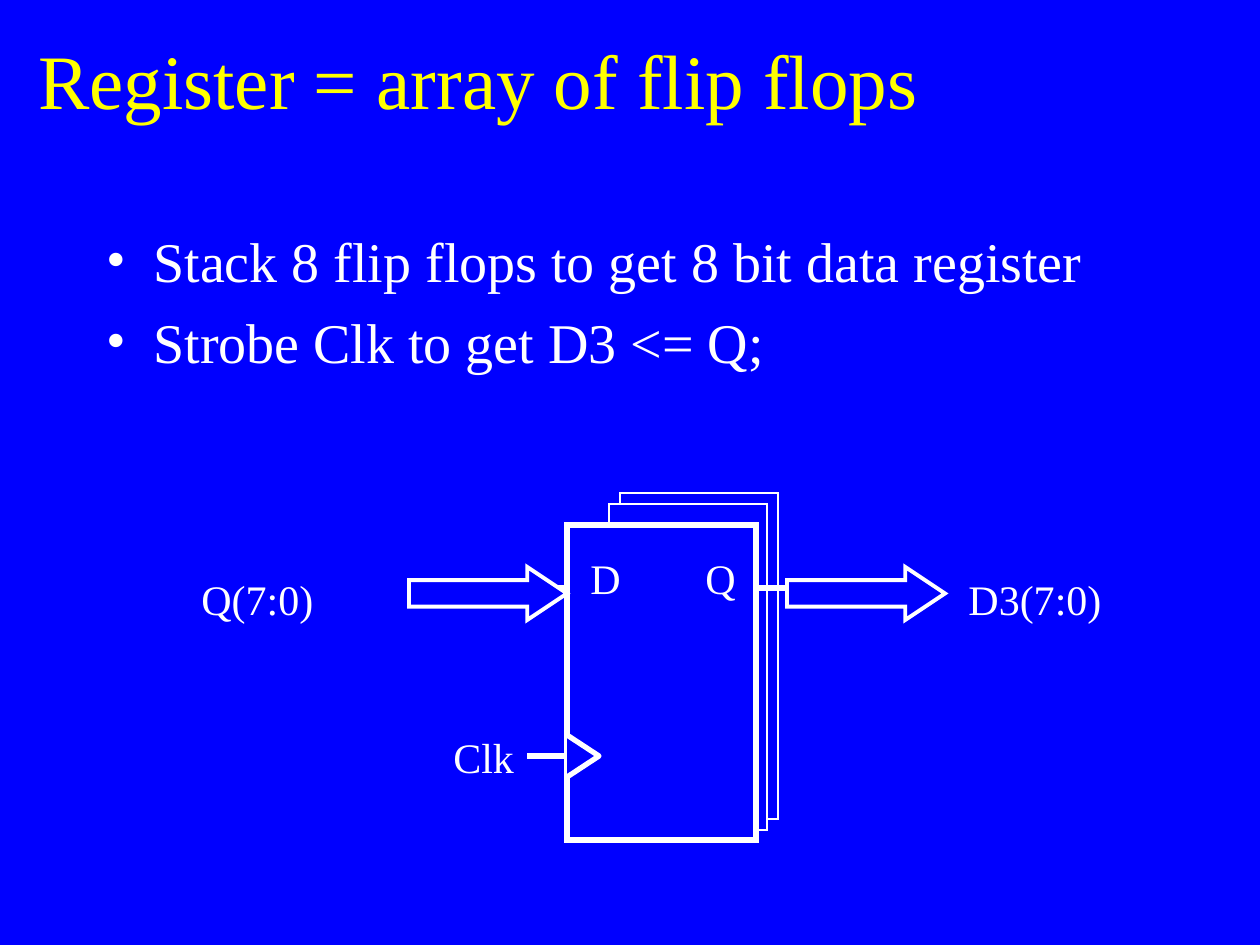
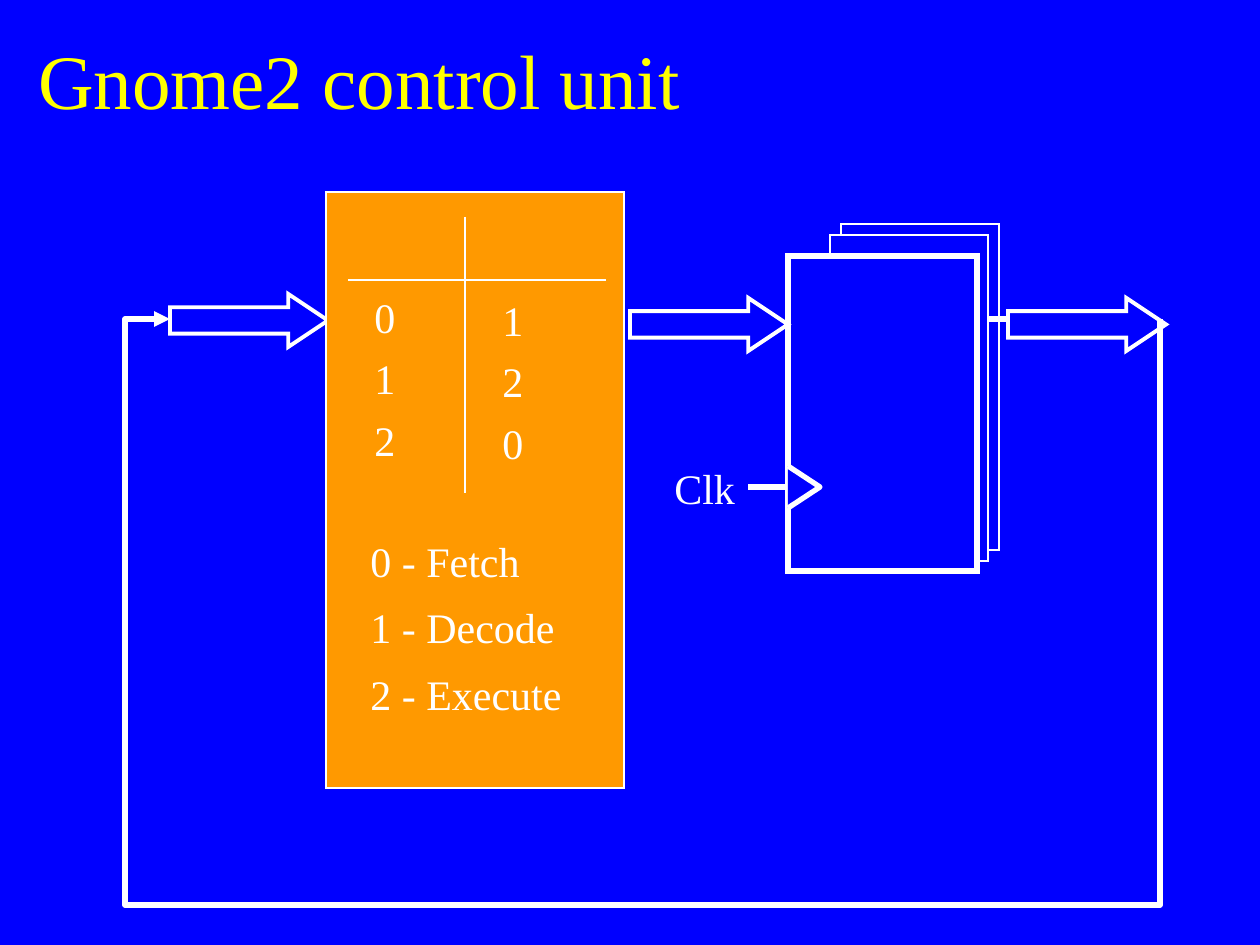
from lxml import etree
from pptx import Presentation
from pptx.dml.color import RGBColor
from pptx.enum.shapes import MSO_CONNECTOR, MSO_SHAPE
from pptx.enum.text import MSO_ANCHOR, MSO_AUTO_SIZE, PP_ALIGN
from pptx.oxml.ns import qn
from pptx.util import Emu, Pt

STRAIGHT = MSO_CONNECTOR.STRAIGHT
RECTANGLE = MSO_SHAPE.RECTANGLE
RIGHT_ARROW = MSO_SHAPE.RIGHT_ARROW
MIDDLE = MSO_ANCHOR.MIDDLE
TOP = MSO_ANCHOR.TOP
FIT_SHAPE = MSO_AUTO_SIZE.SHAPE_TO_FIT_TEXT
LEFT = PP_ALIGN.LEFT

EMU_PER_PX = 914400 / 126
FONT = "Times New Roman"
BLUE = "0000FF"
WHITE = "FFFFFF"
YELLOW = "FFFF00"
ORANGE = "FF9900"
THIN, MEDIUM, THICK = 0.75, 2.25, 3

REGISTER_WIDTH, REGISTER_HEIGHT = 189, 315
PIN_Y = 63
CLOCK_Y = 231
STUB = 42


def px(length):
    return Emu(round(length * EMU_PER_PX))


def color(hex_string):
    return RGBColor.from_string(hex_string)


def paint(shape, fill, width):
    """Give a shape its fill and white outline, without a shadow."""
    shape.shadow.inherit = False
    if fill:
        shape.fill.solid()
        shape.fill.fore_color.rgb = color(fill)
    else:
        shape.fill.background()
    shape.line.color.rgb = color(WHITE)
    shape.line.width = Pt(width)


def add_preset(slide, kind, left, top, width, height, fill, line_width):
    shape = slide.shapes.add_shape(kind, px(left), px(top), px(width), px(height))
    paint(shape, fill, line_width)
    etree.SubElement(shape.line._get_or_add_ln(), qn("a:miter"), lim="800000")
    return shape


def add_line(slide, start, end, width):
    line = slide.shapes.add_connector(STRAIGHT, *map(px, start + end))
    line.line.color.rgb = color(WHITE)
    line.line.width = Pt(width)
    etree.SubElement(line._element.spPr, qn("a:effectLst"))
    return line


def add_outline(slide, points, fill=None):
    """Draw an open path through the points."""
    builder = slide.shapes.build_freeform(*points[0], scale=EMU_PER_PX)
    builder.add_line_segments(points[1:], close=False)
    outline = builder.convert_to_shape()
    paint(outline, fill, THICK)
    return outline


def add_text(slide, lines, left, top, width, height, size=24, ink=WHITE,
             anchor=TOP, wrap=True, line_spacing=1.0, gap=0, bullet=False):
    box = slide.shapes.add_textbox(px(left), px(top), px(width), px(height))
    frame = box.text_frame
    frame.word_wrap = wrap
    frame.vertical_anchor = anchor
    frame.text = "\n".join(lines)
    for index, paragraph in enumerate(frame.paragraphs):
        if bullet:
            add_bullet(paragraph)
        paragraph.alignment = LEFT
        paragraph.line_spacing = line_spacing
        if index:
            paragraph.space_before = Pt(gap)
        for run in paragraph.runs:
            run.font.name = FONT
            run.font.size = Pt(size)
            run.font.color.rgb = color(ink)
    return box


def add_bullet(paragraph):
    properties = paragraph._p.get_or_add_pPr()
    indent = px(47)
    properties.set("marL", str(indent))
    properties.set("indent", str(-indent))
    etree.SubElement(properties, qn("a:buFont"), typeface=FONT)
    etree.SubElement(properties, qn("a:buChar"), char="•")


def add_label(slide, text, left, top, width):
    label = add_text(slide, [text], left, top, width, 62, wrap=False)
    label.text_frame.auto_size = FIT_SHAPE
    label.fill.solid()
    label.fill.fore_color.rgb = color(BLUE)
    return label


def add_bus_arrow(slide, left, top):
    arrow = add_preset(slide, RIGHT_ARROW, left, top, 158, 53, BLUE, MEDIUM)
    arrow.adjustments[0] = 0.5
    arrow.adjustments[1] = 0.75


def add_register(slide, left, top):
    """Stack of flip flops with its clock input."""
    for shift_x, shift_y, fill in ((53, -32, None), (42, -21, BLUE)):
        add_preset(slide, RECTANGLE, left + shift_x, top + shift_y, 158, 326, fill, THIN)
    add_preset(slide, RECTANGLE, left, top, REGISTER_WIDTH, REGISTER_HEIGHT, BLUE, THICK)

    clock_y = top + CLOCK_Y
    clock = add_label(slide, "Clk", left - 126, clock_y - 31, 86)
    clock_line = add_line(slide, (left, clock_y), (left - STUB, clock_y), THICK)
    clock_line.end_connect(clock, 3)
    add_outline(slide, [(left, clock_y - 21), (left + 32, clock_y), (left, clock_y + 21)], BLUE)


def add_pin(slide, left, y):
    add_line(slide, (left + STUB, y), (left, y), THICK)


def add_register_buses(slide, left, top):
    for shift in (220, -158):
        add_bus_arrow(slide, left + shift, top + 42)


def add_titled_slide(deck, title, title_width):
    slide = deck.slides.add_slide(deck.slide_layouts[6])
    slide.background.fill.solid()
    slide.background.fill.fore_color.rgb = color(BLUE)
    add_text(slide, [title], 26, 0, title_width, 158, 44, YELLOW, MIDDLE)
    return slide


def build_register_slide(deck):
    slide = add_titled_slide(deck, "Register = array of flip flops", 1071)
    add_text(slide, ["Stack 8 flip flops to get 8 bit data register",
                     "Strobe Clk to get D3 <= Q;"],
             94, 220, 1050, 210, size=32, gap=8, bullet=True)
    left, top = 567, 525
    add_register(slide, left, top)
    for pin_left in (left - STUB, left + REGISTER_WIDTH):
        add_pin(slide, pin_left, top + PIN_Y)
    for text, label_left, label_top, width in (
            ("D", 578, 546, 55), ("Q", 693, 546, 55),
            ("Q(7:0)", 189, 567, 137), ("D3(7:0)", 956, 567, 158)):
        add_label(slide, text, label_left, label_top, width)
    add_register_buses(slide, left, top)


def build_control_slide(deck):
    slide = add_titled_slide(deck, "Gnome2 control unit", 1234)
    left, top = 788, 256
    add_pin(slide, left + REGISTER_WIDTH, top + PIN_Y)
    add_register(slide, left, top)
    add_register_buses(slide, left, top)
    add_bus_arrow(slide, 170, 294)

    add_preset(slide, RECTANGLE, 326, 192, 298, 596, ORANGE, THIN)
    add_line(slide, (348, 280), (606, 280), THIN)
    add_line(slide, (465, 217), (465, 493), THIN)
    for states, column_left, column_top in (("012", 362, 299), ("120", 490, 302)):
        add_text(slide, states, column_left, column_top, 92, 171, line_spacing=0.7, gap=15)

    feedback = add_outline(slide, [(1160, 319), (1160, 905), (125, 905), (125, 319), (170, 319)])
    etree.SubElement(feedback.line._get_or_add_ln(), qn("a:tailEnd"), type="triangle")
    add_text(slide, ["0 - Fetch", "1 - Decode", "2 - Execute"],
             358, 539, 227, 186, line_spacing=0.8, gap=15)


def main():
    deck = Presentation()
    deck.slide_width, deck.slide_height = px(1260), px(945)
    build_register_slide(deck)
    build_control_slide(deck)
    deck.save("out.pptx")


if __name__ == "__main__":
    main()
